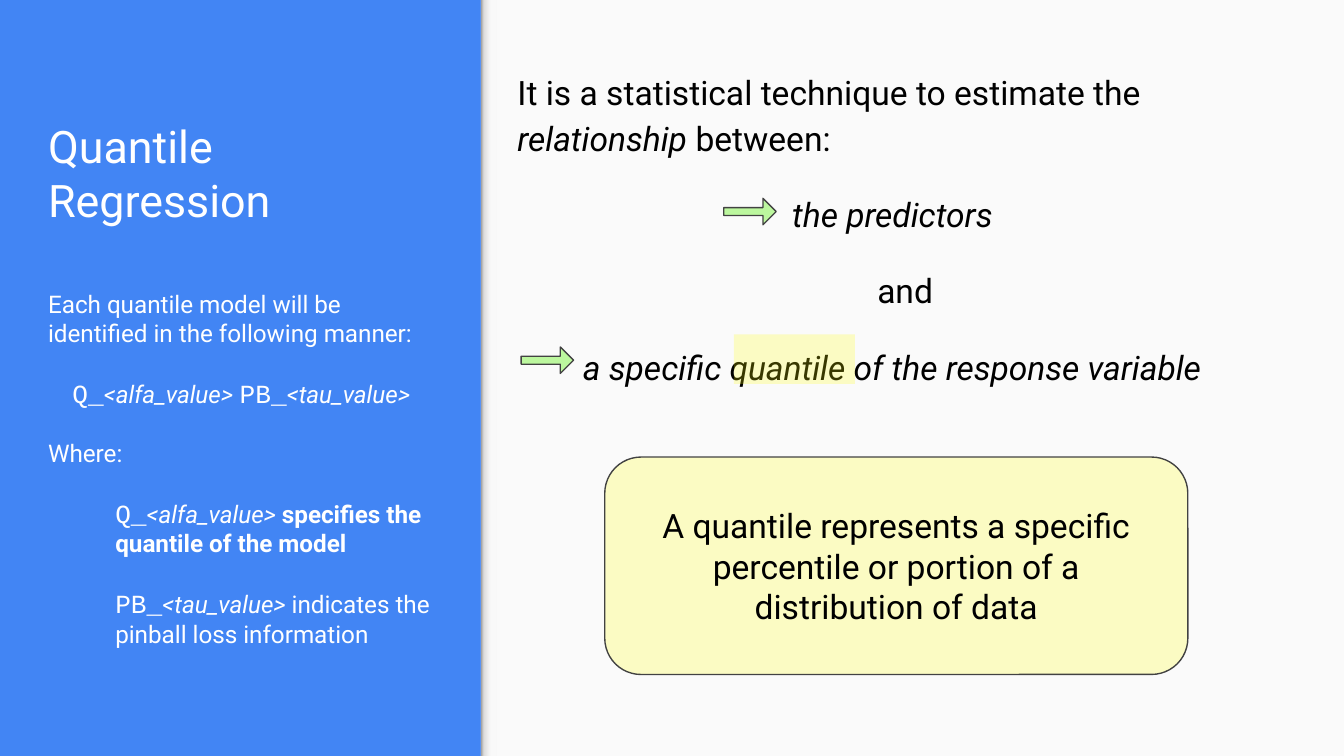
from lxml import etree
from pptx import Presentation
from pptx.dml.color import RGBColor
from pptx.enum.shapes import MSO_SHAPE
from pptx.enum.text import MSO_ANCHOR, PP_ALIGN
from pptx.oxml.ns import qn
from pptx.util import Cm, Pt

CENTER = PP_ALIGN.CENTER
TOP, MIDDLE, BOTTOM = MSO_ANCHOR.TOP, MSO_ANCHOR.MIDDLE, MSO_ANCHOR.BOTTOM
RECTANGLE, ROUNDED = MSO_SHAPE.RECTANGLE, MSO_SHAPE.ROUNDED_RECTANGLE
ARROW = MSO_SHAPE.RIGHT_ARROW
COLORS = {
    "panel": "4285F4", "paper": "FAFAFA", "yellow": "FFFF00", "green": "73F433",
    "outline": "424242", "black": "000000", "white": "FFFFFF",
}
SHADOW_STOPS = [(0, "999999"), (20, "DEDEDE"), (64, "F9F9F9"), (100, "F9F9F9")]

deck = Presentation()
deck.slide_width, deck.slide_height = Cm(25.4), Cm(14.29)
page = deck.slides.add_slide(deck.slide_layouts[6])
page.background.fill.solid()
page.background.fill.fore_color.rgb = RGBColor.from_string(COLORS["panel"])


def add_filled(kind, left, top, width, height, color, opacity=100, outlined=False):
    """Add a preset shape, lengths in cm and opacity in percent."""
    shape = page.shapes.add_shape(kind, Cm(left), Cm(top), Cm(width), Cm(height))
    shape.shadow.inherit = False
    shape.fill.solid()
    shape.fill.fore_color.rgb = RGBColor.from_string(color)
    if opacity < 100:
        tone = shape._element.spPr.find(qn("a:solidFill")).find(qn("a:srgbClr"))
        etree.SubElement(tone, qn("a:alpha"), val=str(opacity * 1000))
    if outlined:
        shape.line.color.rgb = RGBColor.from_string(COLORS["outline"])
        shape.line.width = Pt(0.75)
    else:
        shape.line.fill.background()
    return shape


def write_text(shape, paragraphs, color, anchor=TOP, line_spacing=None):
    """Fill a shape with (align, indent cm, space before pt, spans) paragraphs.

    Each span is (text, size, font, style), where style is "", "i" or "b".
    """
    frame = shape.text_frame
    frame.word_wrap = True
    frame.vertical_anchor = anchor
    frame.margin_left = frame.margin_right = Cm(0.25)
    frame.margin_top = frame.margin_bottom = Cm(0.25)
    for index, (align, indent, before, spans) in enumerate(paragraphs):
        para = frame.add_paragraph() if index else frame.paragraphs[0]
        para.alignment = align
        para.space_before = Pt(before)
        if line_spacing:
            para.line_spacing = line_spacing
        if indent:
            para._p.get_or_add_pPr().set("marL", str(Cm(indent)))
        for text, size, font, style in spans:
            span = para.add_run()
            span.text = text
            span.font.size = Pt(size)
            span.font.name = font
            span.font.italic = style == "i"
            span.font.bold = style == "b"
            span.font.color.rgb = RGBColor.from_string(color)


# Right-hand paper with a soft shadow along its edge
add_filled(RECTANGLE, 9.09, 0, 16.31, 14.29, COLORS["paper"])
edge = add_filled(RECTANGLE, 9.09, 0, 0.3, 14.29, COLORS["paper"])
edge.fill.gradient()
edge.fill.gradient_angle = 0
stops = edge._element.spPr.find(qn("a:gradFill")).find(qn("a:gsLst"))
for stop in list(stops):
    stops.remove(stop)
for position, color in SHADOW_STOPS:
    stop = etree.SubElement(stops, qn("a:gs"), pos=str(position * 1000))
    etree.SubElement(stop, qn("a:srgbClr"), val=color)

# Definition
definition = page.shapes.add_textbox(Cm(9.53), Cm(0.99), Cm(14.83), Cm(6.71))
write_text(definition, [
    (None, 0, 0, [("It is a statistical technique to estimate the ", 18, "Roboto", ""),
                  ("relationship", 18, "Roboto", "i"),
                  (" between:", 18, "Roboto", "")]),
    (CENTER, 0, 16, [("the predictors ", 18, "Roboto", "i")]),
    (None, 6.8, 16, [("and", 18, "Roboto", "")]),
    (CENTER, 0, 16, [("a specific quantile of the response variable ", 18, "Roboto", "i")]),
], COLORS["black"], line_spacing=1.15)

# Highlighted word and its explanation
add_filled(RECTANGLE, 13.87, 6.32, 2.29, 0.94, COLORS["yellow"], 22)
explanation = add_filled(ROUNDED, 11.43, 8.64, 11.02, 4.11, COLORS["yellow"], 22, True)
write_text(explanation, [
    (CENTER, 0, 0, [("A quantile represents a specific percentile or portion of a "
                     "distribution of data", 18, "Roboto", "")]),
], COLORS["black"], MIDDLE)

for left, top in [(13.68, 3.75), (9.85, 6.56)]:
    arrow = add_filled(ARROW, left, top, 0.99, 0.5, COLORS["green"], 46, True)
    arrow.adjustments[0] = 0.3

# Left panel
title = page.shapes.add_textbox(Cm(0.66), Cm(1.93), Cm(7.8), Cm(2.6))
write_text(title, [(None, 0, 0, [("Quantile Regression", 24, "Roboto", "")])],
           COLORS["white"], BOTTOM)

alfa_name = [("Q_", 14, "Courier New", ""), ("<alfa_value>", 13, "Roboto", "i")]
tau_name = [("PB_", 14, "Courier New", ""), ("<tau_value>", 13, "Roboto", "i")]
naming = page.shapes.add_textbox(Cm(0.66), Cm(5.21), Cm(7.8), Cm(8.28))
write_text(naming, [
    (None, 0, 0, [("Each quantile model will be identified in the following manner:",
                   13, "Roboto", "")]),
    (CENTER, 0, 16, alfa_name + [(" ", 14, "Roboto", "")] + tau_name),
    (None, 0, 16, [("Where:", 13, "Roboto", "")]),
    (None, 1.27, 16, alfa_name + [(" specifies the quantile of the model",
                                   13, "Roboto", "b")]),
    (None, 1.27, 16, tau_name + [(" indicates the pinball loss information",
                                  13, "Roboto", "")]),
], COLORS["white"])

deck.save("out.pptx")
